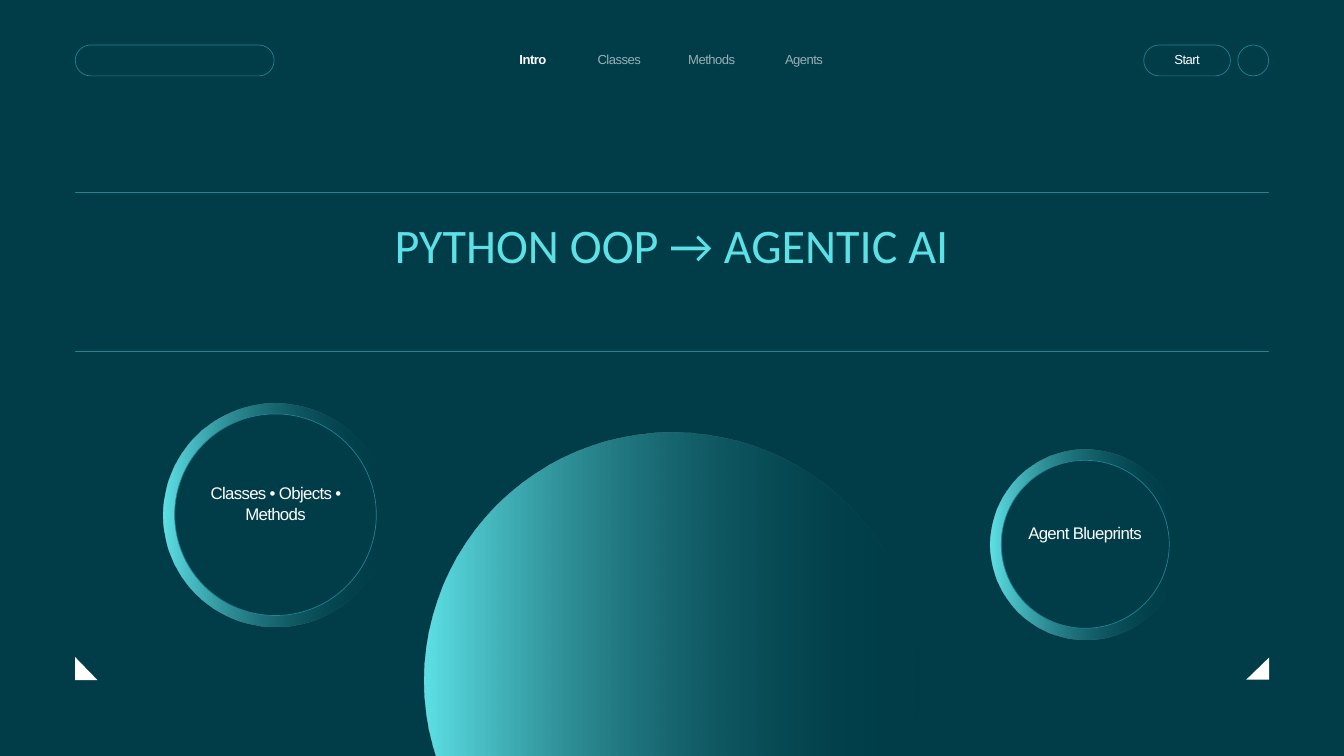
import pptx
import pptx.util
import pptx.dml.color
import pptx.enum.shapes
import pptx.enum.text
import pptx.oxml.ns
from lxml import etree

Inches = pptx.util.Inches
Pt = pptx.util.Pt
SHAPE = pptx.enum.shapes.MSO_SHAPE
qn = pptx.oxml.ns.qn

DARK, LINE, BRIGHT, TITLE, WHITE = "003D48", "218395", "5DE1E6", "5CE1E6", "FFFFFF"
LEFT, RIGHT = 1.12, 18.88
BAR_TOP, BAR_H = 0.67, 0.46


def rgb(value):
    return pptx.dml.color.RGBColor.from_string(value)


def set_alpha(element, percent):
    """Set the opacity of the first RGB colour inside element."""
    clr = next(element.iter(qn("a:srgbClr")))
    etree.SubElement(clr, qn("a:alpha")).set("val", str(percent * 1000))


def add_text(slide, box, text, size=14, font="Arial", color=WHITE, bold=False,
             leading=19.6, spacing=-0.6, alpha=None):
    tf = slide.shapes.add_textbox(*map(Inches, box)).text_frame
    tf.word_wrap = True
    tf.margin_left = tf.margin_top = tf.margin_right = tf.margin_bottom = 0
    p = tf.paragraphs[0]
    p.alignment = pptx.enum.text.PP_ALIGN.CENTER
    p.line_spacing = Pt(leading)
    r = p.add_run()
    r.text = text
    r.font.size, r.font.name, r.font.bold = Pt(size), font, bold
    r.font.color.rgb = rgb(color)
    r.font._element.set("spc", str(round(spacing * 100)))
    if alpha is not None:
        set_alpha(r.font._element, alpha)


def add_shape(slide, kind, box, fill=None, line=None):
    sp = slide.shapes.add_shape(kind, *map(Inches, box))
    sp.shadow.inherit = False
    if fill:
        sp.fill.solid()
        sp.fill.fore_color.rgb = rgb(fill)
    else:
        sp.fill.background()
    if line:
        sp.line.color.rgb = rgb(line)
        sp.line.width = Pt(0.75)
    else:
        sp.line.fill.background()
    return sp


def add_pill(slide, box):
    sp = add_shape(slide, SHAPE.ROUNDED_RECTANGLE, box, line=LINE)
    sp.adjustments[0] = 0.5


def add_fading_disc(slide, left, top, size):
    """Circle that fades from bright on the left to clear on the right."""
    sp = add_shape(slide, SHAPE.OVAL, (left, top, size, size))
    sp.fill.gradient()
    sp.fill.gradient_angle = 0
    start, end = sp.fill.gradient_stops
    start.color.rgb, end.color.rgb = rgb(BRIGHT), rgb(DARK)
    set_alpha(list(sp._element.iter(qn("a:gs")))[-1], 0)


def add_rule(slide, y):
    line = slide.shapes.add_connector(
        pptx.enum.shapes.MSO_CONNECTOR.STRAIGHT,
        Inches(LEFT), Inches(y), Inches(RIGHT), Inches(y))
    line.line.color.rgb = rgb(LINE)
    line.line.width = Pt(0.75)
    etree.SubElement(line._element.spPr, qn("a:effectLst"))


def add_ring(slide, left, top, size, rim, label, label_box):
    add_fading_disc(slide, left, top, size)
    inner = size - 2 * rim
    add_shape(slide, SHAPE.OVAL, (left + rim, top + rim, inner, inner), DARK, LINE)
    add_text(slide, label_box, label, size=18, leading=21.6, spacing=-0.7)


def add_header(slide, top, height):
    # Empty logo pill, start button and round button
    add_pill(slide, (LEFT, top, 2.96, height))
    add_pill(slide, (17.02, top, 1.29, height))
    add_shape(slide, SHAPE.OVAL, (RIGHT - height, top, height, height), line=LINE)
    text_top, text_h = top + 0.05, 0.29
    add_text(slide, (17.22, text_top, 0.89, text_h), "Start")

    # Navigation, with the first entry active
    x, gap = 7.52, 0.37
    for name, width in (("Intro", 0.82), ("Classes", 1.01),
                        ("Methods", 1), ("Agents", 1.01)):
        active = name == "Intro"
        add_text(slide, (x, text_top, width, text_h), name, bold=active,
                 alpha=None if active else 60)
        x += width + gap


def add_title(slide, top, bottom):
    add_rule(slide, bottom)
    add_rule(slide, top)
    add_text(slide, (1.18, top + 0.2, 17.63, 0.97), "PYTHON OOP → AGENTIC AI",
             size=51.6, font="Calibri", color=TITLE, leading=72.3, spacing=0)


def add_corners(slide, bottom):
    w, h = 0.33, 0.34
    add_shape(slide, SHAPE.RIGHT_TRIANGLE, (LEFT, bottom - h, w, h), WHITE)
    sp = add_shape(slide, SHAPE.RIGHT_TRIANGLE, (RIGHT - w, bottom - h, w, h), WHITE)
    sp.rotation = 270


def main():
    prs = pptx.Presentation()
    prs.slide_width, prs.slide_height = Inches(20), Inches(11.25)
    slide = prs.slides.add_slide(prs.slide_layouts[6])
    slide.background.fill.solid()
    slide.background.fill.fore_color.rgb = rgb(DARK)

    add_fading_disc(slide, 6.31, 6.43, 7.39)
    add_header(slide, BAR_TOP, BAR_H)
    add_title(slide, 2.86, 5.23)
    add_ring(slide, 2.44, 6, 3.32, 0.16, "Classes • Objects • Methods",
             (3.09, 7.19, 2.02, 0.61))
    add_ring(slide, 14.74, 6.69, 2.82, 0.16, "Agent Blueprints",
             (15.25, 7.78, 1.79, 0.32))
    add_corners(slide, 10.12)
    prs.save("out.pptx")


if __name__ == "__main__":
    main()
